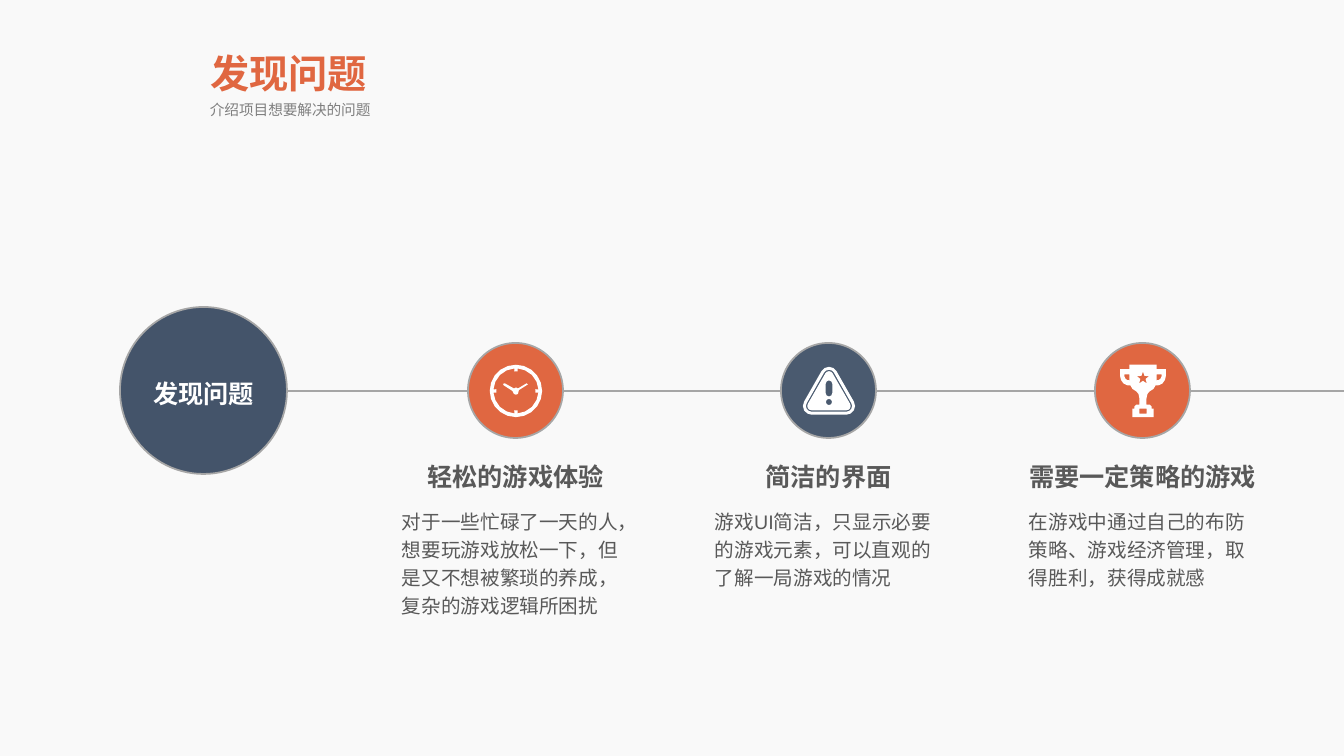
from math import cos, sin, radians
from lxml import etree
from pptx import Presentation
from pptx.dml.color import RGBColor
from pptx.enum.shapes import MSO_CONNECTOR, MSO_SHAPE
from pptx.enum.text import MSO_ANCHOR, MSO_AUTO_SIZE, PP_ALIGN
from pptx.oxml.ns import qn
from pptx.util import Pt

OVAL = MSO_SHAPE.OVAL
LINE = MSO_CONNECTOR.STRAIGHT
TOP = MSO_ANCHOR.TOP
FIXED = MSO_AUTO_SIZE.NONE
LEFT, MID = PP_ALIGN.LEFT, PP_ALIGN.CENTER

PX = 914400 / 100.8
COLORS = {"back": "F9F9F9", "orange": "E06741", "navy": "44546A", "slate": "4A5A6F",
          "rule": "A6A6A6", "text": "595959", "note": "7F7F7F", "white": "FFFFFF"}
HUE = {name: RGBColor.from_string(code) for name, code in COLORS.items()}


def write(text, x, y, w, h, size=14, hue="text", bold=False, align=LEFT,
          gap=1.0, face="Arial", box=None):
    box = box or slide.shapes.add_textbox(0, 0, 0, 0)
    box.left, box.top, box.width, box.height = [round(n * PX) for n in (x, y, w, h)]
    frame = box.text_frame
    frame.word_wrap = True
    frame.auto_size = FIXED
    frame.vertical_anchor = TOP
    para = frame.paragraphs[0]
    para.alignment = align
    para.line_spacing = gap
    run = para.add_run()
    run.text = text
    run.font.size = Pt(size)
    run.font.bold = bold
    run.font.name = face
    run.font.color.rgb = HUE[hue]
    etree.SubElement(run.font._element, qn("a:ea"), typeface="Noto Sans CJK SC")


def blob(size, *mids, cuts=4):
    """Outline of equal arcs around each centre, clockwise from the top."""
    turn = 360 / len(mids)
    return [(x + size * cos(radians(a)), y + size * sin(radians(a)))
            for i, (x, y) in enumerate(mids)
            for a in [-90 - turn / 2 + turn * (i + k / cuts) for k in range(cuts + 1)]]


# Slide
deck = Presentation()
deck.slide_width, deck.slide_height = round(1344 * PX), round(756 * PX)
slide = deck.slides.add_slide(deck.slide_layouts[5])
slide.background.fill.solid()
slide.background.fill.fore_color.rgb = HUE["back"]

# Header
write("发现问题", 200, 44, 225, 57, size=28, hue="orange", bold=True,
      box=slide.shapes.title)
write("介绍项目想要解决的问题", 200, 93, 486, 29, size=10.5, hue="note", gap=1.14,
      face="Noto Sans CJK SC")

# Time line
rule = slide.shapes.add_connector(
    LINE, *[round(n * PX) for n in (287, 391, 1344, 391)])
rule.line.color.rgb = HUE["rule"]
rule.line.width = Pt(1.25)
etree.SubElement(rule._element.spPr, qn("a:effectLst"))

# Clock icon, in tenths of a px around its centre
face = [(r * cos(radians(turn + a)), r * sin(radians(turn + a)))
        for turn in range(0, 360, 90)
        for r, a in ((226, 4), (226, 24), (226, 45), (226, 66), (226, 86),
                     (196, 85), (196, 95))]
hands = [(-111, -76), (-20, -25), (0, -35), (20, -25), (106, -76), (120, -66),
         (109, -58), (30, -8), (20, 30), (0, 38), (-20, 30), (-35, 0),
         (-121, -55), (-130, -70)]
clock = [blob(262, (0, 0), cuts=20), face, hands]

# Warning icon
tips = (0, -155), (174, 150), (-174, 150)
alert = [blob(size, *tips) for size in (87, 57, 43)]
alert += [blob(33, (0, -73), (0, 22)), blob(31, (0, 110), cuts=8)]

# Trophy icon, from its right half
half = [(136, -262), (136, -217), (228, -217), (228, -146), (220, -110), (195, -75),
        (160, -57), (126, -55), (105, -20), (66, 5), (45, 30), (35, 76), (35, 136),
        (66, 136), (86, 156), (86, 176), (106, 176), (106, 262)]
grip = [(136, -166), (186, -166), (186, -146), (175, -122), (155, -108), (136, -106)]
star = [(r * sin(radians(36 * k)), -128 - r * cos(radians(36 * k)))
        for k in range(10) for r in [27 if k % 2 else 65]]
cup = [half + [(-x, y) for x, y in reversed(half)], grip,
       [(-x, y) for x, y in grip], star,
       [(-36, 176), (36, 176), (36, 227), (-36, 227)]]

# Circles
cols = [392 + 627 * i // 2 for i in range(3)]
disks = [(120, 307, 167, "navy")]
disks += [(x + 76, 343, 95, hue) for x, hue in zip(cols, ("orange", "slate", "orange"))]
for x, y, size, hue in disks:
    disk = slide.shapes.add_shape(OVAL, *[round(n * PX) for n in (x, y, size, size)])
    disk.shadow.inherit = False
    disk.fill.solid()
    disk.fill.fore_color.rgb = HUE[hue]
    disk.line.color.rgb = HUE["rule"]
    disk.line.width = Pt(1.25)
write("发现问题", 110, 367, 187, 43, size=18, hue="white", bold=True, align=MID, gap=1.2)

# Steps
steps = [
    ("轻松的游戏体验", clock, 4,
     "对于一些忙碌了一天的人，想要玩游戏放松一下，但是又不想被繁琐的养成，复杂的游戏逻辑所困扰"),
    ("简洁的界面", alert, 3,
     "游戏UI简洁，只显示必要的游戏元素，可以直观的了解一局游戏的情况"),
    ("需要一定策略的游戏", cup, 3,
     "在游戏中通过自己的布防策略、游戏经济管理，取得胜利，获得成就感"),
]
for x, (head, icon, rows, body) in zip(cols, steps):
    write(head, x, 456, 247, 40, size=18, bold=True, align=MID)
    write(body, x, 500, 247, 29 * rows + 6, gap=1.2)
    pen = slide.shapes.build_freeform(*icon[0][0], scale=PX / 10)
    pen.add_line_segments(icon[0][1:], close=True)
    for part in icon[1:]:
        pen.move_to(*part[0])
        pen.add_line_segments(part[1:], close=True)
    mark = pen.convert_to_shape(round((x + 124) * PX), round(391 * PX))
    mark.shadow.inherit = False
    mark.fill.solid()
    mark.fill.fore_color.rgb = HUE["white"]
    mark.line.fill.background()

deck.save("out.pptx")
